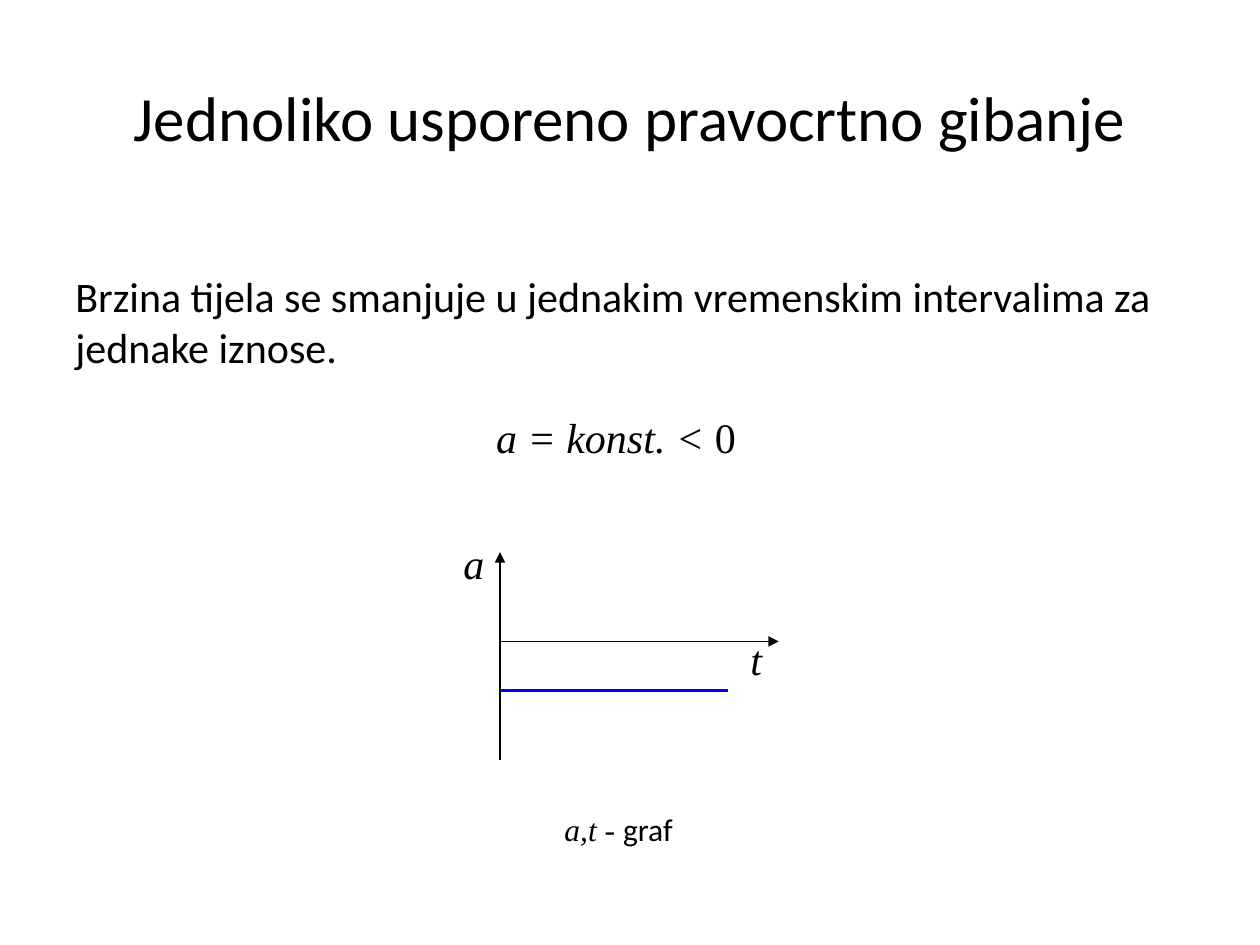
"""Build a physics slide on uniformly decelerated straight-line motion."""
from lxml import etree
from pptx import Presentation
from pptx.dml.color import RGBColor
from pptx.enum.shapes import MSO_CONNECTOR
from pptx.enum.text import MSO_ANCHOR, PP_ALIGN
from pptx.oxml.ns import qn
from pptx.util import Cm, Pt

BLACK = RGBColor(0x00, 0x00, 0x00)
BLUE = RGBColor(0x00, 0x00, 0xFF)
BODY_FONT = "Calibri"
MATH_FONT = "Times New Roman"
STRAIGHT = MSO_CONNECTOR.STRAIGHT
TOP, MIDDLE = MSO_ANCHOR.TOP, MSO_ANCHOR.MIDDLE
LEFT, CENTER = PP_ALIGN.LEFT, PP_ALIGN.CENTER

ORIGIN_X = 10.08
TIME_AXIS_Y = 12.93
ACCELERATION_Y = 13.92


def style(font, size, name, italic=False):
    font.size = Pt(size)
    font.name = name
    font.italic = italic
    font.color.rgb = BLACK


def add_paragraph_box(slide, box, anchor=TOP, align=LEFT, wrap=True):
    frame = slide.shapes.add_textbox(*map(Cm, box)).text_frame
    frame.word_wrap = wrap
    frame.vertical_anchor = anchor
    paragraph = frame.paragraphs[0]
    paragraph.alignment = align
    return paragraph


def add_text(slide, box, text, size, anchor=MIDDLE, align=LEFT):
    paragraph = add_paragraph_box(slide, box, anchor, align)
    paragraph.text = text
    style(paragraph.font, size, BODY_FONT)


def add_math(slide, box, symbols, size, ending="", ending_font=MATH_FONT):
    paragraph = add_paragraph_box(slide, box, wrap=not ending)
    parts = [(symbols, MATH_FONT, True), (ending, ending_font, False)]
    for text, name, italic in parts:
        if text:
            run = paragraph.add_run()
            run.text = text
            style(run.font, size, name, italic)


def add_line(slide, start, end, color, width, arrow=False):
    line = slide.shapes.add_connector(STRAIGHT, *map(Cm, start + end))
    line.line.color.rgb = color
    line.line.width = Pt(width)
    properties = line._element.spPr
    if arrow:
        outline = properties.find(qn("a:ln"))
        etree.SubElement(outline, qn("a:tailEnd"), type="triangle")
    etree.SubElement(properties, qn("a:effectLst"))


def add_graph(slide):
    add_line(slide, (ORIGIN_X, ACCELERATION_Y), (14.68, ACCELERATION_Y), BLUE, 2.25)
    add_line(slide, (ORIGIN_X, 15.32), (ORIGIN_X, 11.13), BLACK, 0.75, arrow=True)
    add_line(slide, (ORIGIN_X, TIME_AXIS_Y), (15.7, TIME_AXIS_Y), BLACK, 0.75, arrow=True)
    add_math(slide, (9.09, 10.72, 1.09, 1.27), "a", 24)
    add_math(slide, (14.88, 12.65, 0.91, 1.27), "t", 24)
    add_math(slide, (11.13, 16.21, 2.72, 1.02), "a,t - ", 18, "graf", BODY_FONT)


def main():
    presentation = Presentation()
    presentation.slide_width, presentation.slide_height = Cm(25.4), Cm(19.05)
    slide = presentation.slides.add_slide(presentation.slide_layouts[6])
    add_text(slide, (1.27, 0.76, 22.86, 3.18),
             "Jednoliko usporeno pravocrtno gibanje", 36, align=CENTER)
    add_text(slide, (1.27, 5.33, 23.5, 2.29),
             "Brzina tijela se smanjuje u jednakim vremenskim intervalima "
             "za jednake iznose.", 24)
    add_math(slide, (9.75, 8.18, 5.36, 1.27), "a = konst. < ", 24, "0")
    add_graph(slide)
    presentation.save("out.pptx")


if __name__ == "__main__":
    main()
